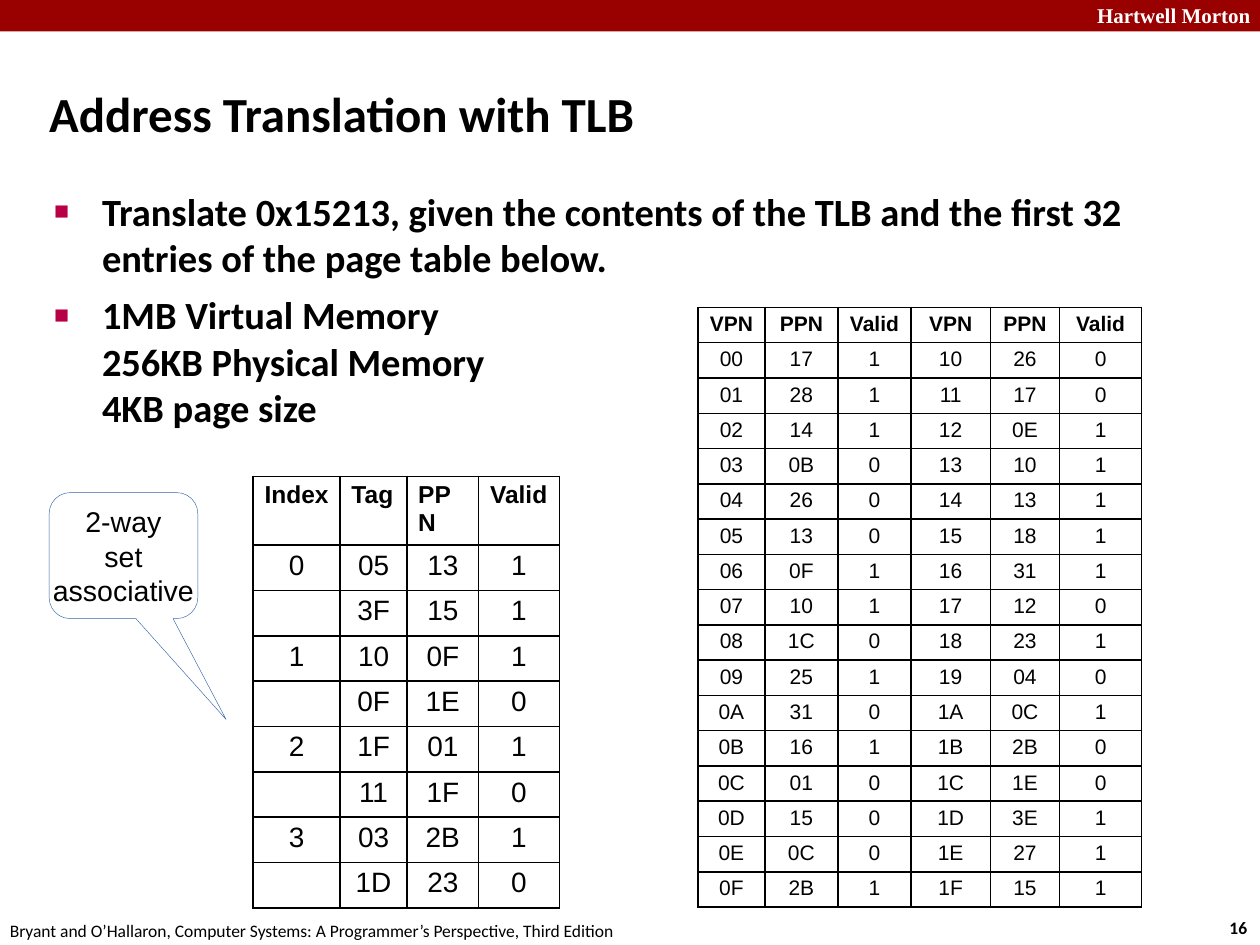
from lxml import etree
from pptx import Presentation
from pptx.dml.color import RGBColor
from pptx.enum.shapes import MSO_SHAPE
from pptx.enum.text import MSO_ANCHOR, MSO_AUTO_SIZE, PP_ALIGN
from pptx.oxml import parse_xml
from pptx.oxml.ns import nsdecls, qn
from pptx.util import Inches, Pt

RECTANGLE = MSO_SHAPE.RECTANGLE
CALLOUT = MSO_SHAPE.ROUNDED_RECTANGULAR_CALLOUT
LEFT, CENTER = PP_ALIGN.LEFT, PP_ALIGN.CENTER
MIDDLE = MSO_ANCHOR.MIDDLE
NO_AUTOFIT = MSO_AUTO_SIZE.NONE

COLORS = {
    "banner": "990000",
    "white": "FFFFFF",
    "black": "000000",
    "bullet": "B80047",
    "callout": "3465A4",
}


def style(paragraph, size, name, bold=False, color="black", alignment=LEFT):
    paragraph.alignment = alignment
    font = paragraph.font
    font.size, font.name, font.bold = Pt(size), name, bold
    font.color.rgb = RGBColor.from_string(COLORS[color])


def add_grid(slide, left, top, widths, header_height, row_height, rows, sizes, header_alignment):
    """Add a black-ruled, unfilled table; sizes are the header and body text sizes."""
    height = header_height + row_height * (len(rows) - 1)
    table = slide.shapes.add_table(
        len(rows), len(widths), Inches(left), Inches(top),
        Inches(sum(widths)), Inches(height)).table
    table.first_row = table.horz_banding = False
    for column, width in zip(table.columns, widths):
        column.width = Inches(width)
    for index, values in enumerate(rows):
        is_header = index == 0
        table.rows[index].height = Inches(header_height if is_header else row_height)
        size = sizes[0] if is_header else sizes[1]
        for cell, value in zip(table.rows[index].cells, values):
            cell.text = value
            cell.margin_left = cell.margin_right = Inches(0.09)
            # Small enough for the text to fit the row height
            cell.margin_top = cell.margin_bottom = Inches(0.04)
            paragraph = cell.text_frame.paragraphs[0]
            style(paragraph, size, "Arial", is_header,
                  alignment=header_alignment if is_header else CENTER)
            # The end mark sets the line height of an empty cell
            paragraph._p.get_or_add_endParaRPr().set("sz", str(size * 100))
            properties = cell._tc.get_or_add_tcPr()
            for side in ("lnL", "lnR", "lnT", "lnB"):
                properties.append(parse_xml(
                    f'<a:{side} {nsdecls("a")} w="12700"><a:solidFill>'
                    f'<a:srgbClr val="{COLORS["black"]}"/></a:solidFill></a:{side}>'))
            cell.fill.background()


presentation = Presentation()
presentation.slide_width, presentation.slide_height = Inches(10), Inches(7.5)
slide = presentation.slides.add_slide(presentation.slide_layouts[1])

# Banner and footer
banner = slide.shapes.add_shape(RECTANGLE, 0, 0, Inches(10), Inches(0.25))
banner.shadow.inherit = False
banner.fill.solid()
banner.fill.fore_color.rgb = RGBColor.from_string(COLORS["banner"])
banner.line.fill.background()

for text, left, top, width, size, name, bold, color in [
    ("Hartwell Morton", 8.61, -0.03, 1.43, 12, "Times New Roman", True, "white"),
    ("16", 9.66, 7.23, 0.37, 10, "Calibri", True, "black"),
    ("Bryant and O’Hallaron, Computer Systems: A Programmer’s Perspective, Third Edition",
     -0.02, 7.25, 5.08, 10, "Calibri", False, "black"),
]:
    label = slide.shapes.add_textbox(Inches(left), Inches(top), Inches(width), Inches(0.27))
    label.text_frame.word_wrap = False
    label.text_frame.text = text
    style(label.text_frame.paragraphs[0], size, name, bold, color)

# Title and list
title, body = slide.shapes.title, slide.placeholders[1]
for placeholder, text, left, top, width, height, size in [
    (title, "Address Translation with TLB", 0.39, 0.66, 8.3, 0.47, 28),
    (body, "Translate 0x15213, given the contents of the TLB and the first 32 "
           "entries of the page table below.\n"
           "1MB Virtual Memory\v256KB Physical Memory\v4KB page size",
     0.43, 1.49, 8.64, 5.44, 22),
]:
    placeholder.left, placeholder.top = Inches(left), Inches(top)
    placeholder.width, placeholder.height = Inches(width), Inches(height)
    frame = placeholder.text_frame
    frame.text = text
    frame.auto_size = NO_AUTOFIT
    frame.margin_left = frame.margin_right = frame.margin_top = frame.margin_bottom = 0
    for paragraph in frame.paragraphs:
        style(paragraph, size, "Calibri", True)
title.text_frame.vertical_anchor = MIDDLE

for paragraph in body.text_frame.paragraphs:
    paragraph.space_before, paragraph.space_after = Pt(0), Pt(6.5)
    properties = paragraph._p.get_or_add_pPr()
    properties.set("marL", str(Inches(0.38)))
    properties.set("indent", str(-Inches(0.38)))
    bullet_color = etree.Element(qn("a:buClr"))
    etree.SubElement(bullet_color, qn("a:srgbClr"), val=COLORS["bullet"])
    default_font = properties.find(qn("a:defRPr"))
    for element in (bullet_color,
                    etree.Element(qn("a:buSzPct"), val="65000"),
                    etree.Element(qn("a:buFont"), typeface="Arial"),
                    etree.Element(qn("a:buChar"), char="■")):
        default_font.addprevious(element)

# TLB: two ways for each set index
tlb_ways = ["05 13 1", "3F 15 1", "10 0F 1", "0F 1E 0",
            "1F 01 1", "11 1F 0", "03 2B 1", "1D 23 0"]
tlb_rows = [["Index", "Tag", "PPN", "Valid"]]
for number, way in enumerate(tlb_ways):
    tlb_rows.append([str(number // 2) if number % 2 == 0 else "", *way.split()])
add_grid(slide, 2.01, 3.78, [0.69, 0.53, 0.57, 0.64], 0.33, 0.36, tlb_rows, (14, 16), LEFT)

# Page table: 32 entries, 16 in each half
page_entries = [
    "17 1", "28 1", "14 1", "0B 0", "26 0", "13 0", "0F 1", "10 1",
    "1C 0", "25 1", "31 0", "16 1", "01 0", "15 0", "0C 0", "2B 1",
    "26 0", "17 0", "0E 1", "10 1", "13 1", "18 1", "31 1", "12 0",
    "23 1", "04 0", "0C 1", "2B 0", "1E 0", "3E 1", "27 1", "15 1",
]
page_rows = [["VPN", "PPN", "Valid"] * 2]
for page in range(16):
    page_rows.append([f"{page:02X}", *page_entries[page].split(),
                      f"{page + 16:02X}", *page_entries[page + 16].split()])
add_grid(slide, 5.54, 2.44, [0.53, 0.58, 0.58, 0.63, 0.55, 0.65], 0.28, 0.28,
         page_rows, (12, 12), CENTER)

# Callout pointing at the TLB
callout = slide.shapes.add_shape(CALLOUT, Inches(0.39), Inches(3.91), Inches(1.18), Inches(1))
callout.adjustments[0], callout.adjustments[1] = 0.69, 1.3
callout.shadow.inherit = False
callout.fill.background()
callout.line.color.rgb = RGBColor.from_string(COLORS["callout"])
callout.line.width = Pt(0.25)
frame = callout.text_frame
frame.word_wrap = False
frame.vertical_anchor = MIDDLE
frame.margin_left = frame.margin_right = Inches(0.09)
frame.margin_top = frame.margin_bottom = Inches(0.04)
frame.text = "2-way\nset\nassociative"
for paragraph in frame.paragraphs:
    style(paragraph, 16.3, "Arial", alignment=CENTER)

presentation.save("out.pptx")
